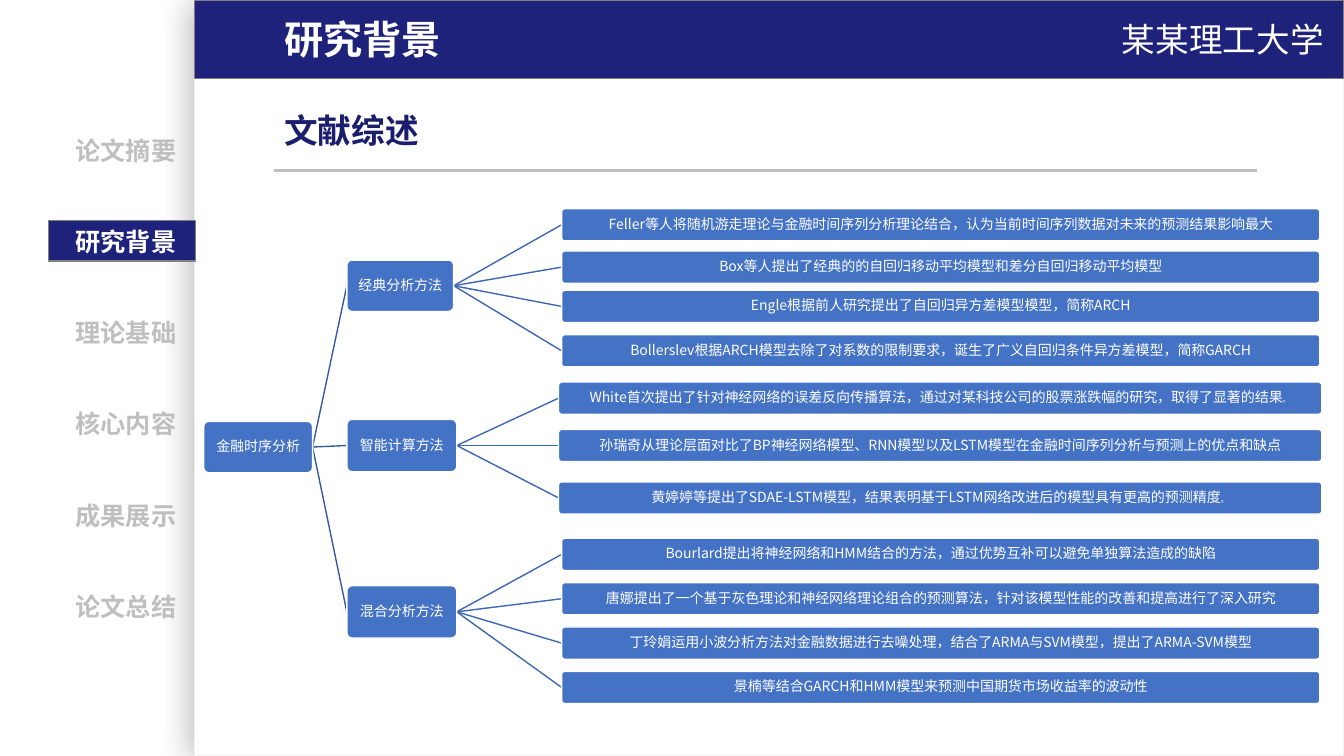
"""Builds the literature review slide with its navigation bar and method tree."""
from lxml.etree import SubElement
from pptx import Presentation
from pptx.dml.color import RGBColor
from pptx.enum.shapes import MSO_CONNECTOR as CONNECTOR, MSO_SHAPE as SHAPE
from pptx.enum.text import MSO_ANCHOR as ANCHOR, PP_ALIGN as ALIGN
from pptx.oxml.ns import qn
from pptx.util import Inches, Pt

COLORS = {
    "white": "FFFFFF", "navy": "1E227B", "title": "1A1E6C", "muted": "BFBFBF",
    "edge": "808080", "panel_edge": "F2F2F2", "node": "4472C4",
    "trunk": "365B9D", "twig": "3E67B2", "shadow": "000000",
}
SANS = "Noto Sans CJK SC"

presentation = Presentation()
presentation.slide_width = Inches(13.33)
presentation.slide_height = Inches(7.5)
slide = presentation.slides.add_slide(presentation.slide_layouts[6])
shapes = slide.shapes


def add_box(kind, left, top, width, height, fill, edge):
    """Add a filled shape without an inherited shadow."""
    shape = shapes.add_shape(kind, Inches(left), Inches(top), Inches(width), Inches(height))
    shape.shadow.inherit = False
    shape.fill.solid()
    shape.fill.fore_color.rgb = RGBColor.from_string(COLORS[fill])
    shape.line.color.rgb = RGBColor.from_string(COLORS[edge])
    shape.line.width = Pt(1)
    return shape


def format_run(run, size, color, bold=False, font=SANS):
    """Set size, colour, weight and both Latin and East Asian fonts."""
    run.font.size = Pt(size)
    run.font.bold = bold
    run.font.color.rgb = RGBColor.from_string(COLORS[color])
    run.font.name = font
    SubElement(run.font._element, qn("a:ea"), typeface=font)


panel = add_box(SHAPE.RECTANGLE, 1.93, 0, 11.4, 7.5, "white", "panel_edge")
effects = panel._element.spPr.find(qn("a:effectLst"))
shadow = SubElement(effects, qn("a:outerShdw"), blurRad=str(Pt(25)), dist=str(Pt(3)),
                    dir=str(130 * 60000), algn="tr", rotWithShape="0")
shadow_color = SubElement(shadow, qn("a:srgbClr"), val=COLORS["shadow"])
SubElement(shadow_color, qn("a:alpha"), val="30000")

add_box(SHAPE.RECTANGLE, 0.48, 2.19, 1.46, 0.4, "navy", "edge")
add_box(SHAPE.RECTANGLE, 1.93, 0, 11.4, 0.78, "navy", "edge")

current = "研究背景"
sections = ["论文摘要", current, "理论基础", "核心内容", "成果展示", "论文总结"]
labels = [
    (section, 0.65, 1.29 + 0.905 * index, 1.28, 0.4, 18,
     "white" if section == current else "muted", True, SANS)
    for index, section in enumerate(sections)
]
labels += [
    (current, 2.72, 0.1, 2.18, 0.57, 28, "white", True, SANS),
    ("文献综述", 2.72, 1.04, 2.59, 0.5, 24, "title", True, SANS),
    ("某某理工大学", 11.03, 0.14, 2.3, 0.5, 24, "white", False, "Noto Sans CJK JP"),
]
for text, left, top, width, height, size, color, bold, font in labels:
    text_box = shapes.add_textbox(Inches(left), Inches(top), Inches(width), Inches(height))
    text_box.text_frame.word_wrap = True
    text_box.text_frame.text = text
    format_run(text_box.text_frame.paragraphs[0].runs[0], size, color, bold, font)

root = ("金融时序分析", 2.02, 4.18, 1.08, 0.51)
branches = [
    (("经典分析方法", 3.44, 2.58, 1.06, 0.51), 5.57, 7.52, [
        (2.07, "Feller等人将随机游走理论与金融时间序列分析理论结合，认为当前时间序列数据对未来的预测结果影响最大"),
        (2.49, "Box等人提出了经典的的自回归移动平均模型和差分自回归移动平均模型"),
        (2.88, "Engle根据前人研究提出了自回归异方差模型模型，简称ARCH"),
        (3.32, "Bollerslev根据ARCH模型去除了对系数的限制要求，诞生了广义自回归条件异方差模型，简称GARCH"),
    ]),
    (("智能计算方法", 3.44, 4.16, 1.09, 0.52), 5.54, 7.57, [
        (3.79, "White首次提出了针对神经网络的误差反向传播算法，通过对某科技公司的股票涨跌幅的研究，取得了显著的结果。"),
        (4.26, "孙瑞奇从理论层面对比了BP神经网络模型、RNN模型以及LSTM模型在金融时间序列分析与预测上的优点和缺点"),
        (4.78, "黄婷婷等提出了SDAE-LSTM模型，结果表明基于LSTM网络改进后的模型具有更高的预测精度。"),
    ]),
    (("混合分析方法", 3.44, 5.81, 1.09, 0.52), 5.57, 7.52, [
        (5.34, "Bourlard提出将神经网络和HMM结合的方法，通过优势互补可以避免单独算法造成的缺陷"),
        (5.78, "唐娜提出了一个基于灰色理论和神经网络理论组合的预测算法，针对该模型性能的改善和提高进行了深入研究"),
        (6.22, "丁玲娟运用小波分析方法对金融数据进行去噪处理，结合了ARMA与SVM模型，提出了ARMA-SVM模型"),
        (6.66, "景楠等结合GARCH和HMM模型来预测中国期货市场收益率的波动性"),
    ]),
]

nodes = [root]
lines = [((2.72, 1.69), (12.47, 1.69), "muted", 2.25)]
for method, study_left, study_width, studies in branches:
    nodes.append(method)
    links = [(root, method, "trunk")]
    for study_top, finding in studies:
        study = (finding, study_left, study_top, study_width, 0.32)
        nodes.append(study)
        links.append((method, study, "twig"))
    for parent, child, color in links:
        start = (parent[1] + parent[3], parent[2] + parent[4] / 2)
        end = (child[1], child[2] + child[4] / 2)
        lines.append((start, end, color, 1))

for start, end, color, width in lines:
    connector = shapes.add_connector(CONNECTOR.STRAIGHT, *map(Inches, start + end))
    connector.line.color.rgb = RGBColor.from_string(COLORS[color])
    connector.line.width = Pt(width)
    SubElement(connector._element.spPr, qn("a:effectLst"))

for text, left, top, width, height in nodes:
    node = add_box(SHAPE.ROUNDED_RECTANGLE, left, top, width, height, "node", "white")
    node.adjustments[0] = 0.1
    frame = node.text_frame
    frame.word_wrap = True
    frame.vertical_anchor = ANCHOR.MIDDLE
    frame.margin_left = frame.margin_right = Inches(0.02)
    frame.margin_top = frame.margin_bottom = Inches(0.02)
    paragraph = frame.paragraphs[0]
    paragraph.alignment = ALIGN.CENTER
    paragraph.line_spacing = 0.9
    body = text.removesuffix("。")
    paragraph.text = body
    format_run(paragraph.runs[0], 10, "white")
    if body != text:
        full_stop = paragraph.add_run()
        full_stop.text = "。"
        format_run(full_stop, 6, "white")

presentation.save("out.pptx")
